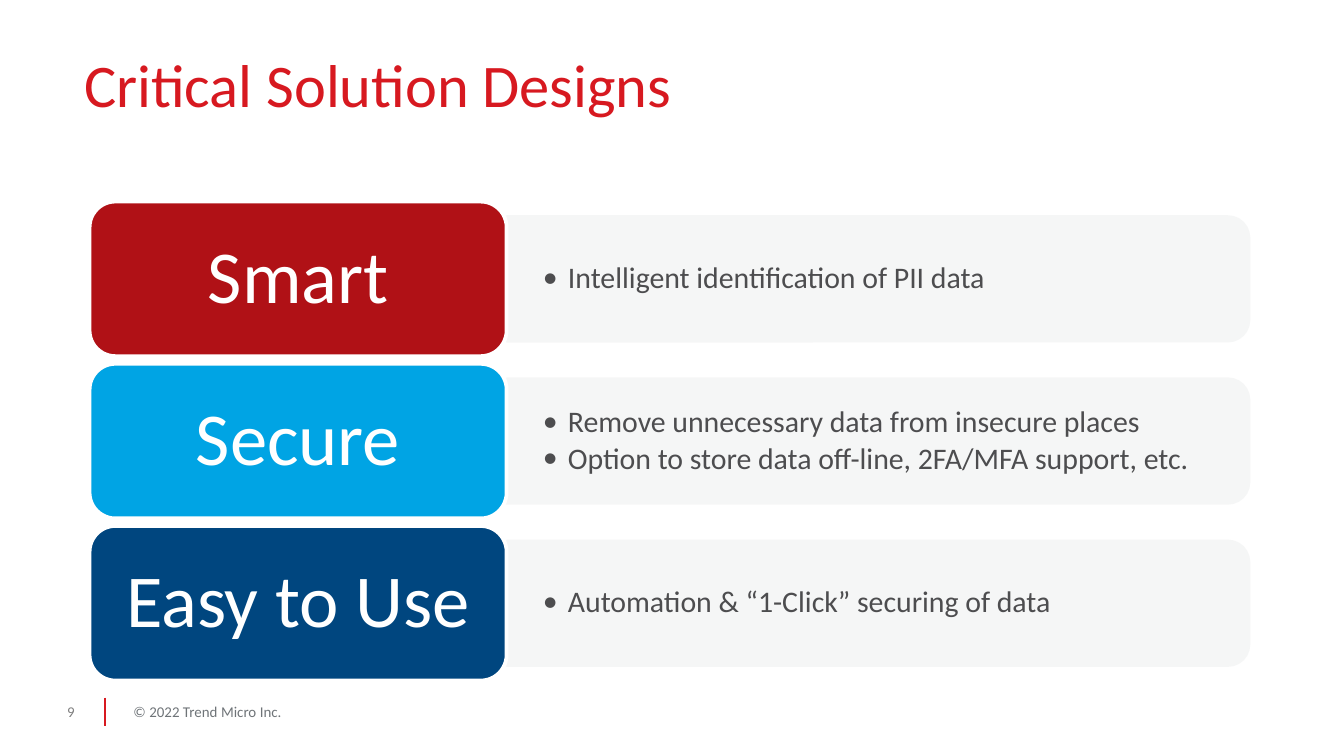
from dataclasses import dataclass

from lxml import etree
from pptx import Presentation
from pptx.dml.color import RGBColor
from pptx.enum.shapes import MSO_CONNECTOR, MSO_SHAPE
from pptx.enum.text import MSO_ANCHOR, PP_ALIGN
from pptx.oxml.ns import qn
from pptx.util import Pt

STRAIGHT = MSO_CONNECTOR.STRAIGHT
ROUNDED = MSO_SHAPE.ROUNDED_RECTANGLE
TOP_ROUNDED = MSO_SHAPE.ROUND_2_SAME_RECTANGLE
MIDDLE, BOTTOM = MSO_ANCHOR.MIDDLE, MSO_ANCHOR.BOTTOM
LEFT, CENTER = PP_ALIGN.LEFT, PP_ALIGN.CENTER


@dataclass(frozen=True)
class Theme:
    font: str = "Calibri"
    accent: str = "D71920"
    panel: str = "F5F6F6"
    body: str = "4D4D4F"
    white: str = "FFFFFF"
    legal: str = "6F7478"
    number: str = "7F7F7F"
    title_size: float = 32.4
    card_size: float = 40
    body_size: float = 16
    footer_size: float = 8


THEME = Theme()
ROWS = [
    ("Smart", "B01116", ["Intelligent identification of PII data"]),
    ("Secure", "00A4E4", ["Remove unnecessary data from insecure places",
                          "Option to store data off-line, 2FA/MFA support, etc."]),
    ("Easy to Use", "00467F", ["Automation & “1-Click” securing of data"]),
]
CARD_LEFT, CARD_TOP, CARD_WIDTH, CARD_HEIGHT = 48, 108, 223.4, 82.8
ROW_PITCH = 86.9
PANEL_WIDTH, PANEL_HEIGHT = 397.4, 66.2
BULLET_INDENT = 13.5


def set_format(target, values):
    for name, value in values.items():
        setattr(target, name, value)


def set_frame(frame, insets=(0, 0, 0, 0), anchor=MIDDLE, wrap=True):
    left, top, right, bottom = insets
    set_format(frame, {
        "margin_left": Pt(left), "margin_top": Pt(top),
        "margin_right": Pt(right), "margin_bottom": Pt(bottom),
        "vertical_anchor": anchor, "word_wrap": wrap,
    })


def add_bullet(para):
    para.level = 1
    properties = para._p.get_or_add_pPr()
    properties.set("marL", str(Pt(BULLET_INDENT)))
    properties.set("indent", str(-Pt(BULLET_INDENT)))
    etree.SubElement(properties, qn("a:buFont")).set("typeface", THEME.font)
    etree.SubElement(properties, qn("a:buChar")).set("char", "•")


def write_lines(frame, lines, size, color, align=LEFT, bullets=False, **spacing):
    for index, line in enumerate(lines):
        para = frame.paragraphs[0] if index == 0 else frame.add_paragraph()
        if bullets:
            add_bullet(para)
        set_format(para, {"alignment": align, **spacing})
        span = para.add_run()
        span.text = line
        set_format(span.font, {"name": THEME.font, "size": Pt(size)})
        span.font.color.rgb = RGBColor.from_string(color)


def add_text(page, bounds, lines, size, color, frame_format=None, **para_format):
    box = page.shapes.add_textbox(*map(Pt, bounds))
    set_frame(box.text_frame, **(frame_format or {}))
    write_lines(box.text_frame, lines, size, color, **para_format)


def add_block(page, preset, bounds, fill, outline):
    block = page.shapes.add_shape(preset, *map(Pt, bounds))
    block.shadow.inherit = False
    block.line.width = Pt(2)
    for paint, color in ((block.fill, fill), (block.line.fill, outline)):
        paint.solid()
        paint.fore_color.rgb = RGBColor.from_string(color)
    return block


def add_panel(page, left, middle, lines):
    bounds = (left + (PANEL_WIDTH - PANEL_HEIGHT) / 2, middle - PANEL_WIDTH / 2,
              PANEL_HEIGHT, PANEL_WIDTH)
    panel = add_block(page, TOP_ROUNDED, bounds, THEME.panel, THEME.panel)
    panel.rotation = 90
    for color in panel._element.spPr.iter(qn("a:srgbClr")):
        etree.SubElement(color, qn("a:alpha")).set("val", "90000")
    add_text(page, (left, middle - 30, 394.6, 60), lines, THEME.body_size, THEME.body,
             {"insets": (19.4, 10, 19.4, 10)},
             bullets=True, line_spacing=0.9, space_after=Pt(2.4))


def add_card(page, top, label, color):
    bounds = (CARD_LEFT, top, CARD_WIDTH, CARD_HEIGHT)
    card = add_block(page, ROUNDED, bounds, color, THEME.white)
    set_frame(card.text_frame, insets=(8, 6, 8, 6))
    write_lines(card.text_frame, [label], THEME.card_size, THEME.white,
                align=CENTER, line_spacing=0.9)


def add_footer(page):
    rule = page.shapes.add_connector(STRAIGHT, Pt(56.2), Pt(373.7), Pt(56.2), Pt(388.8))
    rule.line.width = Pt(1)
    rule.line.color.rgb = RGBColor.from_string(THEME.accent)
    etree.SubElement(rule._element.spPr, qn("a:effectLst"))
    for left, width, text, color in (
        (71.5, 120, "© 2022 Trend Micro Inc.", THEME.legal),
        (36, 18, "9", THEME.number),
    ):
        add_text(page, (left, 370, width, 22.4), [text], THEME.footer_size, color,
                 {"wrap": False})


def main():
    deck = Presentation()
    set_format(deck, {"slide_width": Pt(720), "slide_height": Pt(405)})
    page = deck.slides.add_slide(deck.slide_layouts[6])
    add_footer(page)
    add_text(page, (45, 29.5, 630, 42), ["Critical Solution Designs"],
             THEME.title_size, THEME.accent,
             {"insets": (0, 0, 0, 7.2), "anchor": BOTTOM})
    for index, (label, color, lines) in enumerate(ROWS):
        top = CARD_TOP + index * ROW_PITCH
        add_panel(page, CARD_LEFT + CARD_WIDTH, top + CARD_HEIGHT / 2, lines)
        add_card(page, top, label, color)
    deck.save("out.pptx")


if __name__ == "__main__":
    main()
